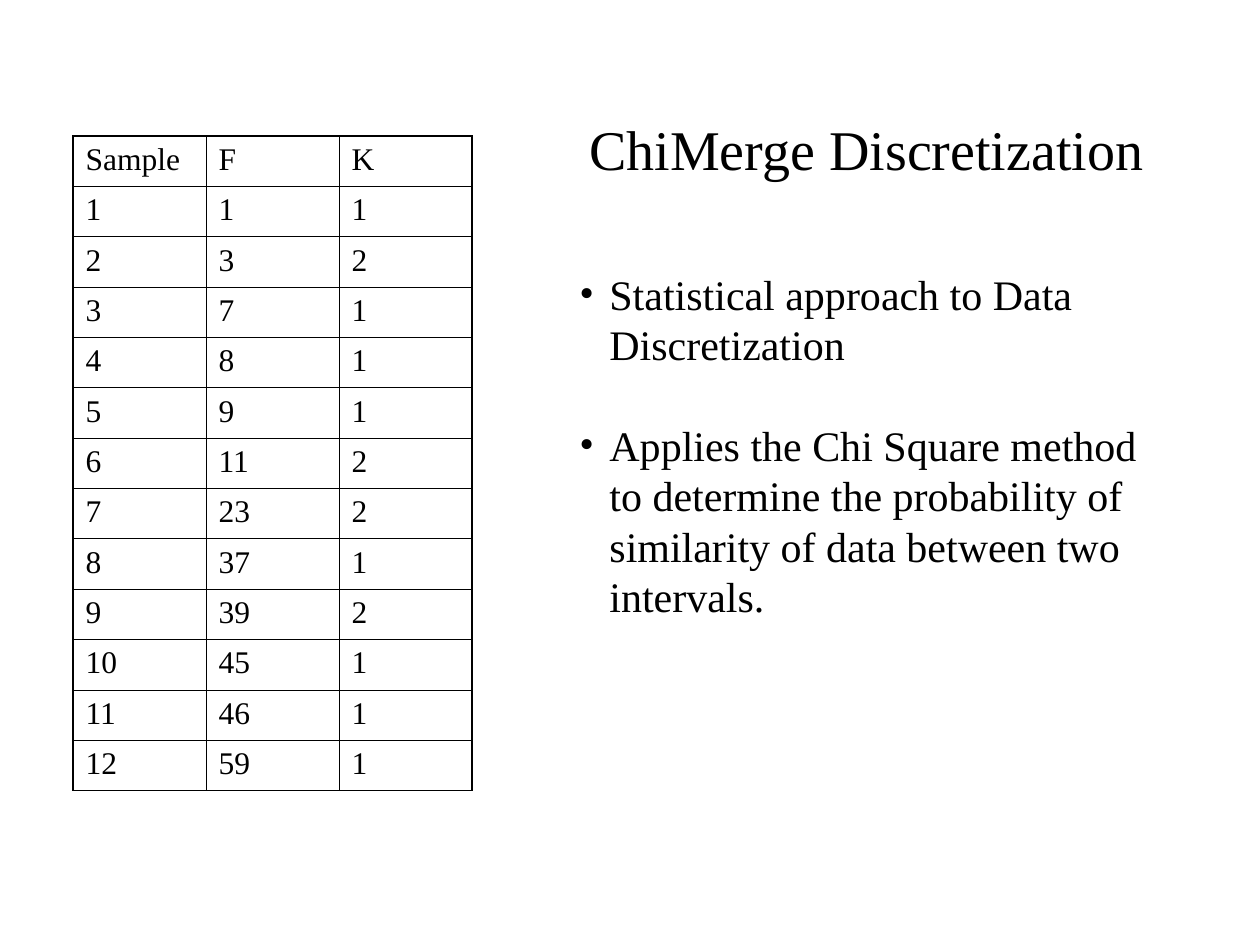
from pptx import Presentation, util as u
from pptx.dml.color import RGBColor
from pptx.enum import text
from pptx.oxml import parse_xml
from pptx.oxml.ns import nsdecls

PX = u.Inches(1) / 126
THEME = {"font": "Times New Roman", "ink": "000000", "title": 32, "body": 24,
         "cell": 18, "thin": 0.45, "thick": 1.08}


def px(n):
    return round(n * PX)


def write(para, words, size, **form):
    for key, val in form.items():
        setattr(para, key, val)
    run = para.add_run()
    run.text = words
    for key, val in {"name": THEME["font"], "size": u.Pt(THEME[size])}.items():
        setattr(run.font, key, val)
    run.font.color.rgb = RGBColor.from_string(THEME["ink"])


deck = Presentation()
deck.slide_width, deck.slide_height = px(1260), px(945)
slide = deck.slides.add_slide(deck.slide_layouts[6])

rows = [("Sample", "F", "K")]
pairs = [(1, 1), (3, 2), (7, 1), (8, 1), (9, 1), (11, 2),
         (23, 2), (37, 1), (39, 2), (45, 1), (46, 1), (59, 1)]
rows += [(n, *pair) for n, pair in enumerate(pairs, 1)]
last, end = len(rows) - 1, len(rows[0]) - 1

grid = slide.shapes.add_table(len(rows), len(rows[0]), px(73), px(136), px(399), px(655)).table
for flag in ("first_row", "horz_banding"):
    setattr(grid, flag, False)
for r, row in enumerate(rows):
    for c, val in enumerate(row):
        cell = grid.cell(r, c)
        write(cell.text_frame.paragraphs[0], str(val), "cell")
        edges = {"lnL": c == 0, "lnR": c == end, "lnT": r == 0, "lnB": r == last}
        for tag, outer in edges.items():
            width = u.Pt(THEME["thick" if outer else "thin"])
            cell._tc.get_or_add_tcPr().append(parse_xml(
                f'<a:{tag} {nsdecls("a")} w="{width}"><a:solidFill>'
                f'<a:srgbClr val="{THEME["ink"]}"/></a:solidFill></a:{tag}>'))
        cell.fill.background()

title = slide.shapes.add_textbox(px(577), px(107), px(581), px(81)).text_frame
title.word_wrap = False
write(title.paragraphs[0], "ChiMerge Discretization", "title",
      line_spacing=u.Pt(39), alignment=text.PP_ALIGN.LEFT)

body = slide.shapes.add_textbox(px(567), px(262), px(599), px(365)).text_frame
body.word_wrap = True
points = ["Statistical approach to Data Discretization",
          "Applies the Chi Square method to determine the probability of "
          "similarity of data between two intervals."]
for n, point in enumerate(points):
    para = body.add_paragraph() if n else body.paragraphs[0]
    write(para, point, "body", line_spacing=u.Pt(28.8),
          space_before=u.Pt(28.8 if n else 0))
    props = para._p.get_or_add_pPr()
    props.set("marL", str(px(30)))
    props.set("indent", str(px(-30)))
    for tag, attr in (("buFont", f'typeface="{THEME["font"]}"'), ("buChar", 'char="•"')):
        props.append(parse_xml(f'<a:{tag} {nsdecls("a")} {attr}/>'))

deck.save("out.pptx")
